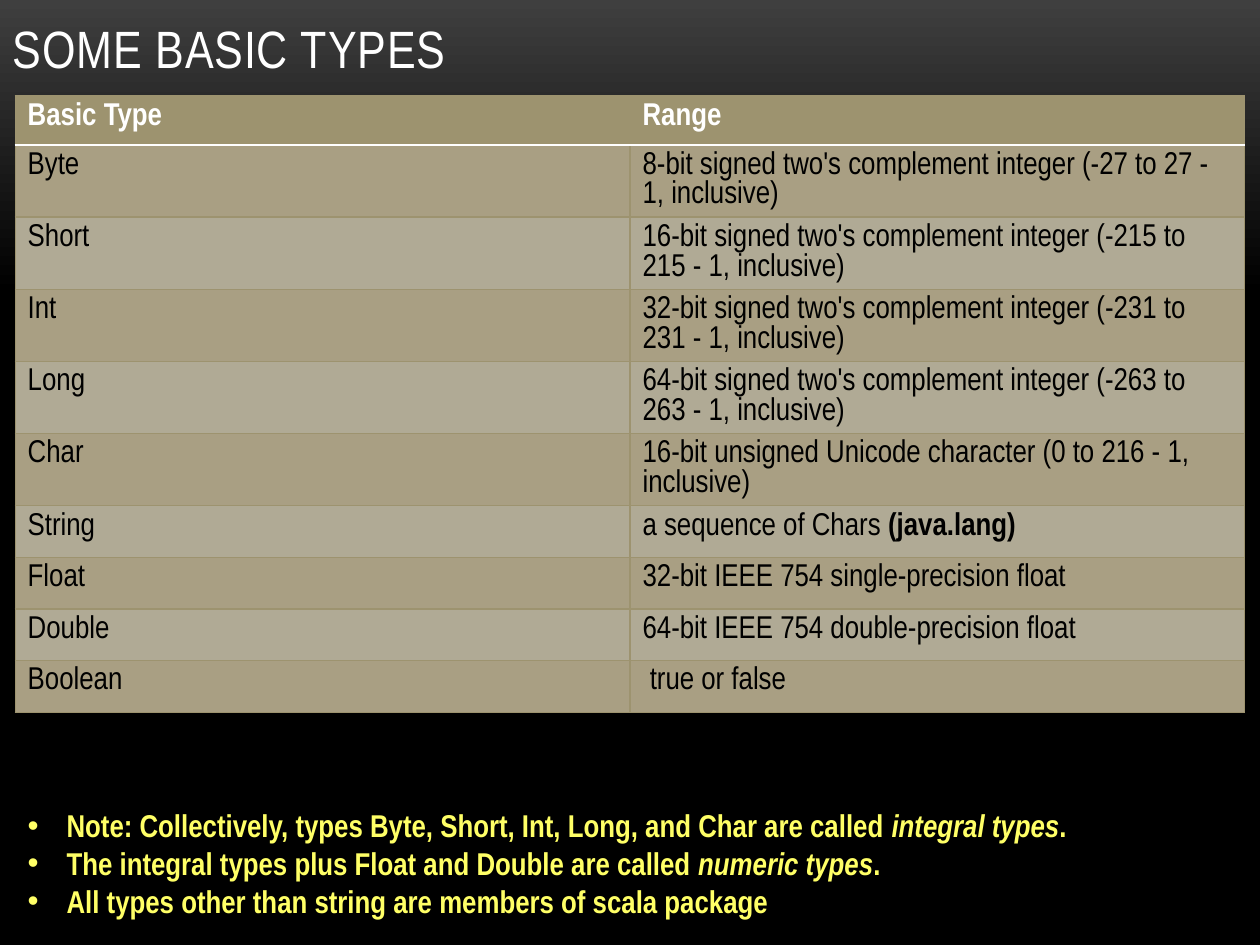
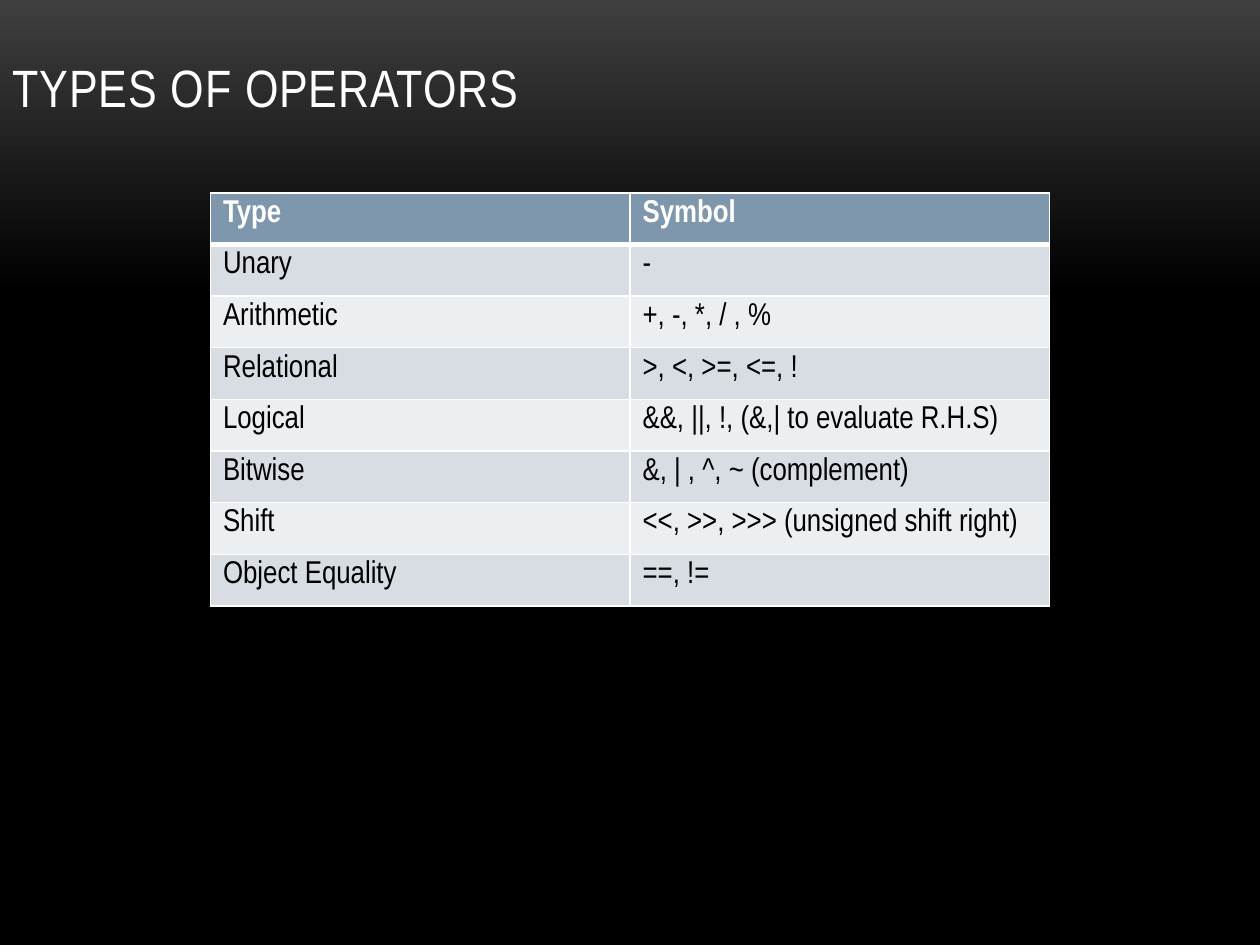
from dataclasses import dataclass

from lxml import etree
from pptx import Presentation
from pptx.dml.color import RGBColor
from pptx.enum import text as t
from pptx.oxml import ns
from pptx.util import Inches, Pt

FONT = "Arial Narrow"
COLORS = {
    "glow": "3F3F3F", "black": "000000", "white": "FFFFFF", "note": "FFFF66",
    "khaki": "9D936F", "khaki_dark": "A99F83", "khaki_light": "B0AA95",
    "steel": "7E97AD", "steel_dark": "D8DDE3", "steel_light": "ECEFF1",
}


@dataclass(frozen=True)
class Run:
    text: str
    bold: bool = False
    italic: bool = False


@dataclass(frozen=True)
class TableStyle:
    header: str
    bands: tuple[str, str]
    grid: str
    grid_width: float
    header_divider: str
    rule_width: float


@dataclass(frozen=True)
class TypeTable:
    left: float
    top: float
    column_width: float
    header_height: float
    style: TableStyle
    rows: list[tuple[str, str | list[Run]]]


ROW_HEIGHT = 0.41
KHAKI = TableStyle("khaki", ("khaki_dark", "khaki_light"), "khaki", 0.75, "khaki", 0.85)
STEEL = TableStyle("steel", ("steel_dark", "steel_light"), "white", 1, "white", 3)


def signed_range(bits: int) -> str:
    power = f"2{bits - 1}"
    return f"{bits}-bit signed two's complement integer (-{power} to {power} - 1, inclusive)"


BASIC_TYPES = TypeTable(0.12, 0.76, 4.88, 0.39, KHAKI, [
    ("Basic Type", "Range"),
    ("Byte", signed_range(8)),
    ("Short", signed_range(16)),
    ("Int", signed_range(32)),
    ("Long", signed_range(64)),
    ("Char", "16-bit unsigned Unicode character (0 to 216 - 1, inclusive)"),
    ("String", [Run("a sequence of Chars "), Run("(java.lang)", bold=True)]),
    ("Float", "32-bit IEEE 754 single-precision float"),
    ("Double", "64-bit IEEE 754 double-precision float"),
    ("Boolean", " true or false"),
])
OPERATORS = TypeTable(1.67, 1.53, 3.33, ROW_HEIGHT, STEEL, [
    ("Type", "Symbol"),
    ("Unary", "-"),
    ("Arithmetic", "+, -, *, / , %"),
    ("Relational", ">, <, >=, <=, !"),
    ("Logical", "&&, ||, !, (&,| to evaluate R.H.S)"),
    ("Bitwise", "&, | , ^, ~ (complement)"),
    ("Shift", "<<, >>, >>> (unsigned shift right)"),
    ("Object Equality", "==, !="),
])
NOTES = [
    [Run("Note: Collectively, types Byte, Short, Int, Long, and Char are called ", True),
     Run("integral types", True, True), Run(".", True)],
    [Run("The integral types plus Float and Double are called ", True),
     Run("numeric types", True, True), Run(".", True)],
    [Run("All types other than string are members of scala package", True)],
]


def rgb(name: str) -> RGBColor:
    return RGBColor.from_string(COLORS[name])


def add_runs(paragraph, runs: list[Run], color: str, size: float = 18) -> None:
    for part in runs:
        run = paragraph.add_run()
        run.text = part.text
        font = run.font
        font.name, font.size = FONT, Pt(size)
        font.bold, font.italic = part.bold, part.italic
        font.color.rgb = rgb(color)


def set_background(master) -> None:
    fill = master.background.fill
    fill.gradient()
    fill.gradient_angle = 270
    for stop, color, position in zip(fill.gradient_stops, ("glow", "black"), (0, 0.31)):
        stop.color.rgb = rgb(color)
        stop.position = position


def add_titled_slide(prs, title: str, top: float, width: float, height: float):
    slide = prs.slides.add_slide(prs.slide_layouts[5])
    heading = slide.shapes.title
    heading.left, heading.top = Inches(0), Inches(top)
    heading.width, heading.height = Inches(width), Inches(height)
    frame = heading.text_frame
    frame.vertical_anchor = t.MSO_ANCHOR.BOTTOM
    frame.auto_size = t.MSO_AUTO_SIZE.NONE
    paragraph = frame.paragraphs[0]
    paragraph.alignment = t.PP_ALIGN.LEFT
    add_runs(paragraph, [Run(title)], "white", 30)
    paragraph.runs[0].font._element.set("spc", "50")
    return slide


def set_border(cell, side: str, color: str, width: float) -> None:
    """Add one cell border; call in the order L, R, T, B and before the fill."""
    line = etree.SubElement(cell._tc.get_or_add_tcPr(), ns.qn(f"a:ln{side}"), w=str(Pt(width)))
    solid = etree.SubElement(line, ns.qn("a:solidFill"))
    etree.SubElement(solid, ns.qn("a:srgbClr"), val=COLORS[color])


def add_type_table(slide, spec_table: TypeTable) -> None:
    style, rows = spec_table.style, spec_table.rows
    height = spec_table.header_height + ROW_HEIGHT * (len(rows) - 1)
    table = slide.shapes.add_table(
        len(rows), 2, Inches(spec_table.left), Inches(spec_table.top),
        Inches(2 * spec_table.column_width), Inches(height)).table
    for r, row in enumerate(rows):
        header = r == 0
        table.rows[r].height = Inches(spec_table.header_height if header else ROW_HEIGHT)
        grid = (style.grid, style.grid_width)
        rule = ("white", style.rule_width)
        divider = (style.header_divider, style.grid_width) if header else grid
        for c, content in enumerate(row):
            cell = table.cell(r, c)
            set_border(cell, "L", *(divider if c == 1 else grid))
            set_border(cell, "R", *(divider if c == 0 else grid))
            set_border(cell, "T", *(rule if r == 1 else grid))
            set_border(cell, "B", *(rule if header else grid))
            cell.fill.solid()
            cell.fill.fore_color.rgb = rgb(style.header if header else style.bands[(r - 1) % 2])
            runs = [Run(content, bold=header)] if isinstance(content, str) else content
            paragraph = cell.text_frame.paragraphs[0]
            paragraph.line_spacing = Pt(17)
            add_runs(paragraph, runs, "white" if header else "black")


def add_notes(slide) -> None:
    box = slide.shapes.add_textbox(Inches(0.12), Inches(6.35), Inches(9.69), Inches(1.01))
    frame = box.text_frame
    frame.word_wrap = True
    frame.auto_size = t.MSO_AUTO_SIZE.SHAPE_TO_FIT_TEXT
    indent = Inches(0.31)
    for i, note in enumerate(NOTES):
        paragraph = frame.add_paragraph() if i else frame.paragraphs[0]
        props = paragraph._p.get_or_add_pPr()
        props.set("marL", str(indent))
        props.set("indent", str(-indent))
        etree.SubElement(props, ns.qn("a:buFont"), typeface="Arial")
        etree.SubElement(props, ns.qn("a:buChar"), char="•")
        add_runs(paragraph, note, "note")


def main() -> None:
    prs = Presentation()
    prs.slide_width, prs.slide_height = Inches(10), Inches(7.5)
    set_background(prs.slide_master)

    basic_types = add_titled_slide(prs, "SOME BASIC TYPES", 0, 8.67, 0.68)
    add_type_table(basic_types, BASIC_TYPES)
    add_notes(basic_types)

    operators = add_titled_slide(prs, "TYPES OF OPERATORS", 0.02, 7.44, 0.97)
    add_type_table(operators, OPERATORS)

    prs.save("out.pptx")


if __name__ == "__main__":
    main()
